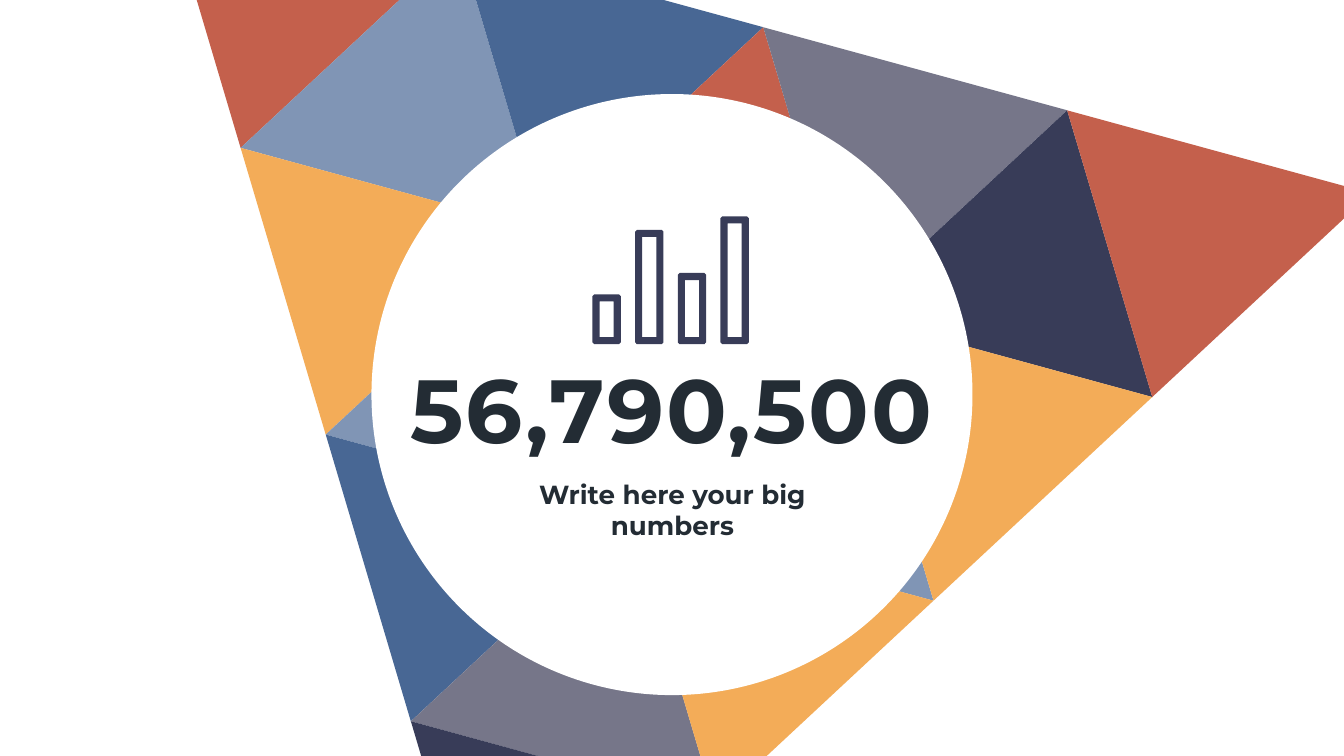
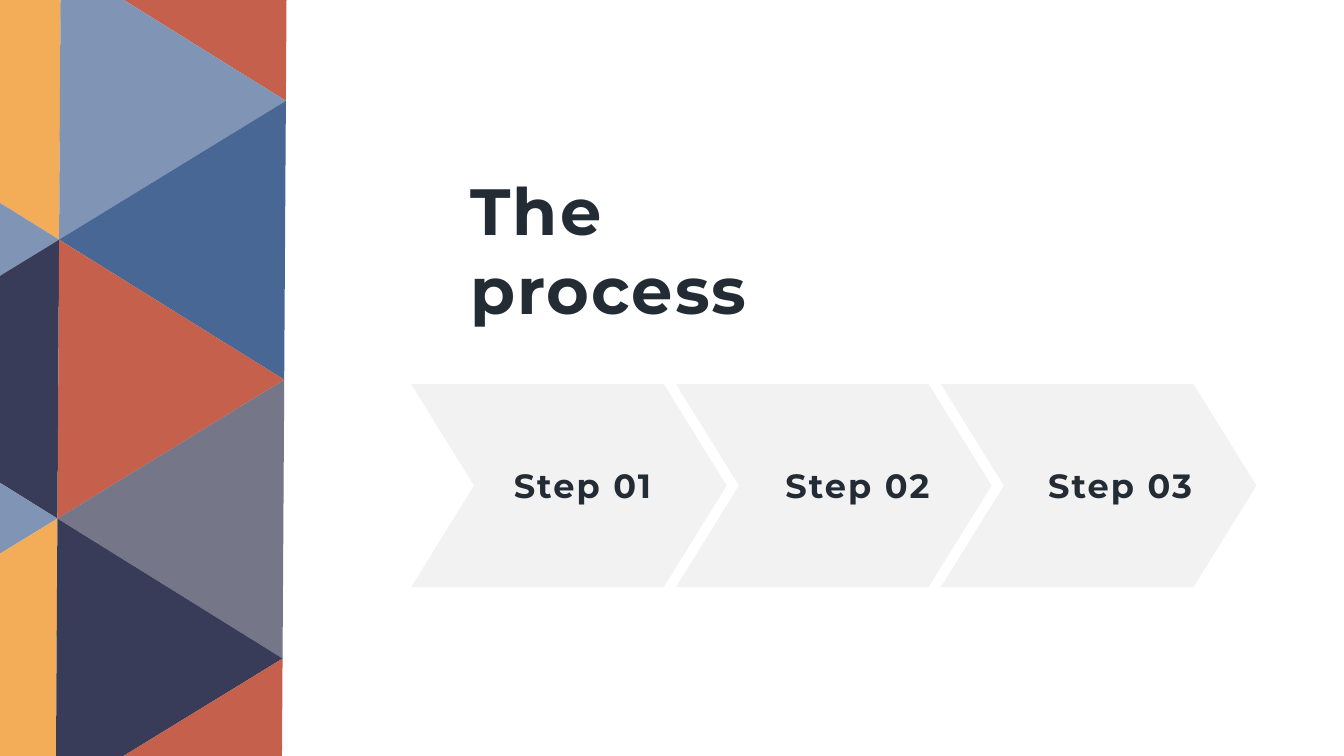
import pptx
import pptx.dml.color
import pptx.enum.shapes
import pptx.enum.text
import pptx.util

Pt = pptx.util.Pt
RGB = pptx.dml.color.RGBColor.from_string
ALIGN = pptx.enum.text.PP_ALIGN

THEME = {
    "font": "Montserrat",
    "colors": {
        "ink": RGB("232C34"), "white": RGB("FFFFFF"), "pale": RGB("F2F2F2"),
        "navy": RGB("383C58"), "blue": RGB("486794"), "sky": RGB("8095B5"),
        "gray": RGB("767689"), "red": RGB("C4604C"), "orange": RGB("F3AC58"),
    },
    "sizes": {"number": 48, "title": 35, "step": 18, "caption": 14},
    "spacing": 110,
}
COLORS = THEME["colors"]


def add_mosaic(slide, origin, across, down, tiles):
    """Fill half cells of a slanted grid; each tile is (color, half, column, row)."""
    corners = {
        "upper": ((0, 0), (1, 0), (0, 1)),
        "lower": ((1, 0), (1, 1), (0, 1)),
    }
    group = slide.shapes.add_group_shape()
    for color, half, column, row in tiles:
        points = [
            tuple(
                Pt(origin[axis] + (column + i) * across[axis] + (row + j) * down[axis])
                for axis in (0, 1)
            )
            for i, j in corners[half]
        ]
        builder = group.shapes.build_freeform(*points[0])
        builder.add_line_segments(points[1:], close=True)
        triangle = builder.convert_to_shape()
        triangle.shadow.inherit = False
        triangle.fill.solid()
        triangle.fill.fore_color.rgb = COLORS[color]
        triangle.line.fill.background()


def add_label(slide, text, bounds, size, align=ALIGN.CENTER, wrap=True, spacing=None):
    box = slide.shapes.add_textbox(*[Pt(length) for length in bounds])
    frame = box.text_frame
    frame.word_wrap = wrap
    frame.auto_size = pptx.enum.text.MSO_AUTO_SIZE.SHAPE_TO_FIT_TEXT
    para = frame.paragraphs[0]
    para.alignment = align
    span = para.add_run()
    span.text = text
    looks = {"name": THEME["font"], "size": Pt(THEME["sizes"][size]), "bold": True}
    for name, value in looks.items():
        setattr(span.font, name, value)
    span.font.color.rgb = COLORS["ink"]
    if spacing:
        span._r.get_or_add_rPr().set("spc", str(spacing))


deck = pptx.Presentation()
deck.slide_width, deck.slide_height = Pt(720), Pt(405)
blank = deck.slide_layouts[6]

# Big number
number_page = deck.slides.add_slide(blank)
add_mosaic(
    number_page, origin=(128.9, 79.2), across=(162.8, 44.5), down=(45.6, 153.6),
    tiles=[
        ("red", "upper", 0, -1),
        ("sky", "lower", 0, -1),
        ("blue", "upper", 1, -1),
        ("red", "lower", 1, -1),
        ("gray", "upper", 2, -1),
        ("navy", "lower", 2, -1),
        ("red", "upper", 3, -1),
        ("orange", "upper", 0, 0),
        ("sky", "lower", 0, 0),
        ("sky", "lower", 1, 0),
        ("orange", "upper", 2, 0),
        ("blue", "upper", 0, 1),
        ("gray", "lower", 0, 1),
        ("orange", "upper", 1, 1),
        ("navy", "upper", 0, 2),
    ],
)

disc = number_page.shapes.add_shape(
    pptx.enum.shapes.MSO_SHAPE.OVAL, Pt(199), Pt(50.4), Pt(322), Pt(322)
)
disc.shadow.inherit = False
disc.fill.solid()
disc.fill.fore_color.rgb = COLORS["white"]
disc.line.fill.background()

add_label(number_page, "56,790,500", (210.2, 185.8, 299.5, 65.5), "number",
          wrap=False, spacing=THEME["spacing"])
add_label(number_page, "Write here your big numbers", (249.8, 252.7, 221, 24.5), "caption")

# Bar icon: four hollow bars with clipped corners, drawn as one outline
bar_tops = (157.7, 123.1, 146.2, 115.9)
bar_left, bar_step, bar_width, bar_bottom = 317.4, 22.85, 15.2, 184.4
border, clip = 3.8, 1
contours = []
for index, top in enumerate(bar_tops):
    left = bar_left + index * bar_step
    right = left + bar_width
    contours.append([
        (left + clip, top), (right - clip, top),
        (right, top + clip), (right, bar_bottom - clip),
        (right - clip, bar_bottom), (left + clip, bar_bottom),
        (left, bar_bottom - clip), (left, top + clip),
    ])
    contours.append([
        (left + border, top + border), (left + border, bar_bottom - border),
        (right - border, bar_bottom - border), (right - border, top + border),
    ])
contours = [[(Pt(x), Pt(y)) for x, y in contour] for contour in contours]
builder = number_page.shapes.build_freeform(*contours[0][0])
for index, contour in enumerate(contours):
    if index:
        builder.move_to(*contour[0])
    builder.add_line_segments(contour[1:], close=True)
bar_icon = builder.convert_to_shape()
bar_icon.shadow.inherit = False
bar_icon.fill.solid()
bar_icon.fill.fore_color.rgb = COLORS["navy"]
bar_icon.line.fill.background()

# Process
process_page = deck.slides.add_slide(blank)
steps = [("Step 01", 267.1, 90), ("Step 02", 412.6, 93.6), ("Step 03", 553.7, 92.9)]
for index in range(len(steps)):
    chevron = process_page.shapes.add_shape(
        pptx.enum.shapes.MSO_SHAPE.CHEVRON,
        Pt(220.3 + index * 141.9), Pt(205.8), Pt(169), Pt(108.7),
    )
    chevron.adjustments[0] = 0.31
    chevron.shadow.inherit = False
    chevron.fill.solid()
    chevron.fill.fore_color.rgb = COLORS["pale"]
    chevron.line.fill.background()

add_label(process_page, "The process", (244.8, 87.8, 241.2, 49.7), "title",
          align=ALIGN.LEFT, spacing=THEME["spacing"])
for text, left, width in steps:
    add_label(process_page, text, (left, 245.5, width, 28.8), "step",
              wrap=False, spacing=THEME["spacing"])

add_mosaic(
    process_page, origin=(32.6, -21), across=(120.6, 75), down=(-0.9, 149.4),
    tiles=[
        ("red", "lower", 0, -1),
        ("orange", "lower", -1, 0),
        ("sky", "upper", 0, 0),
        ("blue", "lower", 0, 0),
        ("sky", "upper", -1, 1),
        ("navy", "lower", -1, 1),
        ("red", "upper", 0, 1),
        ("gray", "lower", 0, 1),
        ("sky", "upper", -1, 2),
        ("orange", "lower", -1, 2),
        ("navy", "upper", 0, 2),
        ("red", "lower", 0, 2),
    ],
)

deck.save("out.pptx")
